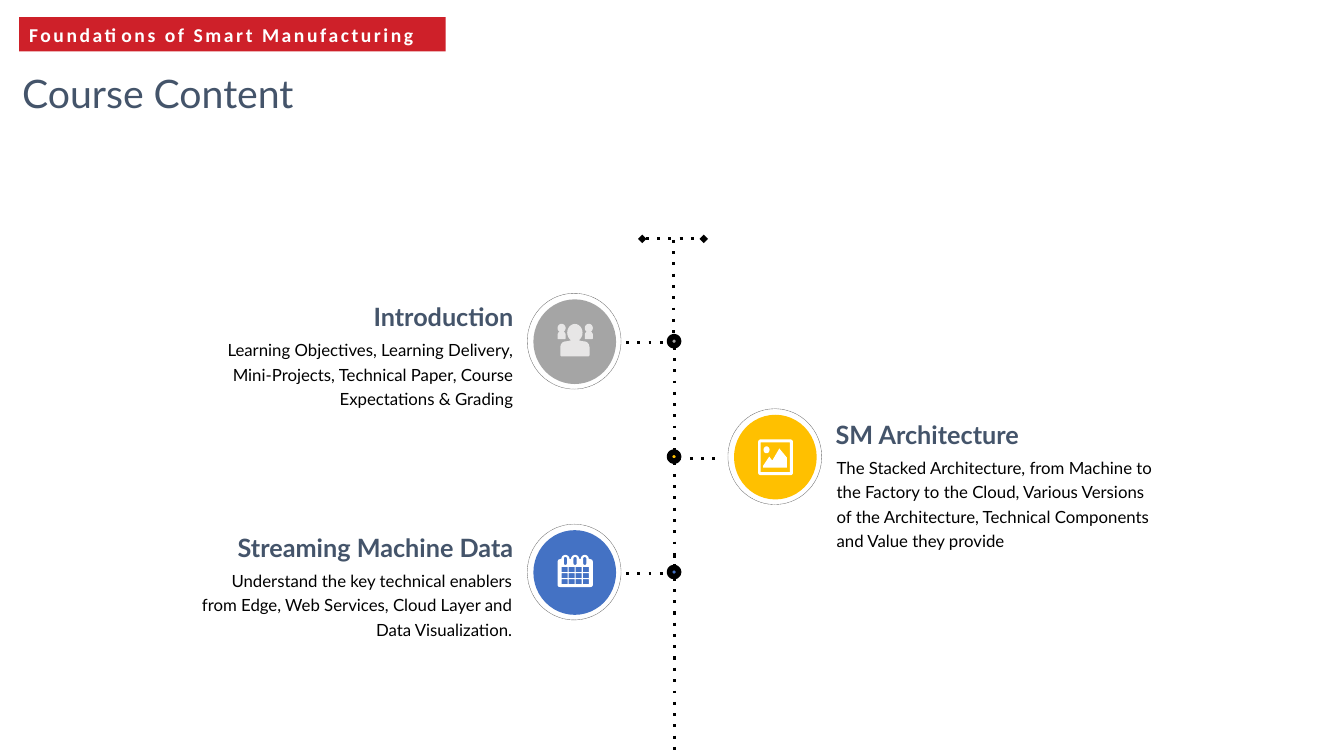
from dataclasses import dataclass
from math import cos, radians, sin

from lxml.etree import SubElement
from pptx import Presentation
from pptx.dml.color import RGBColor
from pptx.enum.shapes import MSO_CONNECTOR as Connector, MSO_SHAPE as Shape
from pptx.enum.text import MSO_AUTO_SIZE as AutoSize, PP_ALIGN as Align
from pptx.oxml.ns import qn
from pptx.util import Inches, Pt

Point = tuple[float, float]
Contour = list[Point]

COLOURS = {
    "red": "CE2029", "white": "FFFFFF", "black": "000000", "slate": "44546A",
    "grey": "A5A5A5", "gold": "FFC000", "blue": "4472C4", "pale": "E7E6E6",
    "ring": "666666",
}

# Grid: square cells of a tenth of an inch, so 133.3 columns by 75 rows
CELL = Inches(0.1)
TRUNK = 66.9
RING_SIZE = (9.3, 9.5)
DISC_SIZE = (8.2, 8.4)
FIRST_ROW, ROW_STEP = 29.1, 11.45


def cells(*counts: float) -> list[int]:
    return [round(count * CELL) for count in counts]


def colour(name: str) -> RGBColor:
    return RGBColor.from_string(COLOURS[name])


# Icon outlines, in hundredths of an inch
def arc(x: float, y: float, rx: float, ry: float, start: int = 0, end: int = 360) -> Contour:
    return [(x + rx * cos(radians(a)), y + ry * sin(radians(a)))
            for a in range(start, end + 1, 15)]


def rectangle(left: float, top: float, width: float, height: float) -> Contour:
    right, bottom = left + width, top + height
    return [(left, top), (right, top), (right, bottom), (left, bottom)]


def rounded(left: float, top: float, right: float, bottom: float, radius: float) -> Contour:
    corners = [(right - radius, bottom - radius), (left + radius, bottom - radius),
               (left + radius, top + radius), (right - radius, top + radius)]
    return [point for turn, (x, y) in enumerate(corners)
            for point in arc(x, y, radius, radius, 90 * turn, 90 * turn + 90)]


def person(x: float, y: float, rx: float, ry: float, shoulders: Contour) -> Contour:
    """A head joined to a body that mirrors the right-hand shoulder offsets."""
    right = [(x + dx, row) for dx, row in shoulders]
    left = [(x - dx, row) for dx, row in reversed(shoulders)]
    return arc(x, y, rx, ry, 120, 420) + right + left


def people_icon() -> list[Contour]:
    side = [(3, 8.2), (4, 10), (4, 14.5), (3.5, 15)]
    front = [(7, 17), (10, 17.3), (12, 18), (13.8, 20), (14.5, 23), (14.5, 31), (13.5, 32)]
    return [person(4, 4, 4, 4.2, side), person(17.2, 8.6, 7.6, 8.7, front),
            person(31, 4, 4, 4.2, side)]


def calendar_icon() -> list[Contour]:
    tabs = [7.8, 17.4, 27]
    edge = [point for x in tabs for point in arc(x, 4, 4, 4, 180, 360)]
    frame = edge + [(32, 4), (34.2, 4.8), (35, 6.5), (35, 30), (34.2, 31.5), (32, 32),
                    (3, 32), (0.8, 31.5), (0, 30), (0, 6.5), (0.8, 4.8), (3, 4)]
    slots = [rounded(x - 1.6, 2, x + 1.6, 10, 1.6) for x in tabs]
    days = [rectangle(4 + 7 * column, 12 + 6 * row, 6, 5)
            for row in range(3) for column in range(4)]
    return [frame, *slots, *days]


def landscape_icon() -> list[Contour]:
    hills = [(28.5, 28), (5, 28), (5, 26), (11, 17), (14, 21), (21, 9), (28.5, 18)]
    return [rounded(0, 0, 34.5, 35.5, 2.5), rectangle(2.5, 3, 29, 29.5),
            arc(8.3, 10.3, 3, 3.4), hills]


@dataclass
class Topic:
    title: str
    summary: str
    fill: str
    icon: list[Contour]
    icon_fill: str
    on_left: bool
    ring_left: float
    title_span: Point      # left and width, in columns
    summary_span: Point
    summary_rows: float
    text_drop: float = 0


TOPICS = [
    Topic("Introduction",
          "Learning Objectives, Learning Delivery, Mini-Projects, Technical Paper, "
          "Course Expectations & Grading",
          "grey", people_icon(), "pale", True, 52.3, (35.2, 16.7), (18.2, 33.7), 8.3),
    Topic("SM Architecture",
          "The Stacked Architecture, from Machine to the Factory to the Cloud, Various "
          "Versions of the Architecture, Technical Components and Value they provide",
          "gold", landscape_icon(), "white", False, 72.2, (81.9, 21.3), (82, 33.4), 10.7, 0.25),
    Topic("Streaming Machine Data",
          "Understand the key technical enablers from Edge, Web Services, Cloud Layer "
          "and Data Visualization.",
          "blue", calendar_icon(), "white", True, 52.3, (20.6, 31.3), (18.7, 33.1), 8.3),
]

deck = Presentation()
deck.slide_width, deck.slide_height = Inches(13.33), Inches(7.5)
page = deck.slides.add_slide(deck.slide_layouts[6])


def add_dash(line, dash: str) -> None:
    SubElement(line._get_or_add_ln(), qn("a:prstDash")).set("val", dash)


def add_shape(kind: Shape, left: float, top: float, width: float, height: float,
              fill: str = "", line: str = "", points: float = 0):
    shape = page.shapes.add_shape(kind, *cells(left, top, width, height))
    shape.shadow.inherit = False
    if fill:
        shape.fill.solid()
        shape.fill.fore_color.rgb = colour(fill)
    else:
        shape.fill.background()
    if line:
        shape.line.color.rgb = colour(line)
        shape.line.width = Pt(points)
    else:
        shape.line.fill.background()
    return shape


def add_dotted(x1: float, y1: float, x2: float, y2: float, diamonds: bool = False) -> None:
    connector = page.shapes.add_connector(Connector.STRAIGHT, *cells(x1, y1, x2, y2))
    connector.line.color.rgb = colour("black")
    connector.line.width = Pt(2)
    add_dash(connector.line, "dot")
    for end in ("a:headEnd", "a:tailEnd") if diamonds else ():
        SubElement(connector.line._get_or_add_ln(), qn(end)).set("type", "diamond")
    SubElement(connector._element.spPr, qn("a:effectLst"))


def write(box, text: str, size: float, ink: str, face: str = "Lato", bold: bool = False,
          align: Align = Align.LEFT, spacing: float = 1, wrap: bool = True):
    box.text_frame.word_wrap = wrap
    box.text_frame.auto_size = AutoSize.SHAPE_TO_FIT_TEXT
    para = box.text_frame.paragraphs[0]
    para.alignment, para.line_spacing = align, spacing
    span = para.add_run()
    span.text = text
    para.font.size, para.font.name, para.font.bold = Pt(size), face, bold
    para.font.color.rgb = colour(ink)
    return span


def add_text(left: float, top: float, width: float, height: float):
    return page.shapes.add_textbox(*cells(left, top, width, height))


def add_icon(contours: list[Contour], left: float, top: float, fill: str) -> None:
    scaled = [[(x * CELL / 10, y * CELL / 10) for x, y in contour] for contour in contours]
    builder = page.shapes.build_freeform(*scaled[0][0], scale=1.0)
    for number, contour in enumerate(scaled):
        if number:
            builder.move_to(*contour[0])
        builder.add_line_segments(contour[1:], close=True)
    icon = builder.convert_to_shape(*cells(left, top))
    icon.shadow.inherit = False
    icon.fill.solid()
    icon.fill.fore_color.rgb = colour(fill)
    icon.line.fill.background()


def add_topic(topic: Topic, top: float) -> None:
    # Ringed disc with its icon
    add_shape(Shape.OVAL, topic.ring_left + 0.6, top + 0.6, *DISC_SIZE, fill=topic.fill)
    ring = add_shape(Shape.OVAL, topic.ring_left, top, *RING_SIZE, line="ring", points=0.25)
    add_dash(ring.line, "sysDash")
    add_icon(topic.icon, topic.ring_left + 3, top + 3.05, topic.icon_fill)
    # Branch and node on the trunk
    branch = TRUNK - 4.8 if topic.on_left else TRUNK + 0.4
    add_dotted(branch, top + 4.9, branch + 4.3, top + 4.9)
    add_shape(Shape.OVAL, TRUNK - 0.5, top + 4.3, 0.9, 0.9, topic.fill, "black", 4)
    # Heading and summary
    align = Align.RIGHT if topic.on_left else Align.LEFT
    text_top = top + topic.text_drop
    left, width = topic.title_span
    write(add_text(left, text_top + 0.3, width, 4), topic.title, 18, "slate",
          bold=True, align=align, wrap=False)
    left, width = topic.summary_span
    write(add_text(left, text_top + 3.75, width, topic.summary_rows), topic.summary, 12,
          "black", align=align, spacing=1.2)


# Banner and page title
banner = add_shape(Shape.RECTANGLE, 1.9, 1.7, 42.3, 3.4, fill="red")
label = write(banner, "Foundations of Smart Manufacturing", 14, "white", "Calibri", True)
label.font._element.set("spc", "180")
title = add_text(2.2, 7.4, 74, 4.9)
frame = title.text_frame
frame.margin_left = frame.margin_top = frame.margin_right = frame.margin_bottom = 0
write(title, "Course Content", 28, "slate", spacing=0.9)

# Trunk with its cap
add_dotted(63.7, 23.7, 69.8, 23.7, diamonds=True)
add_dotted(TRUNK - 0.1, 23.8, TRUNK - 0.1, 34.1)
for start, end in [(34.4, 44.7), (45.9, 56.1), (57.3, 67.5), (55.1, 75)]:
    add_dotted(TRUNK, start, TRUNK, end)

# Topics
for index, entry in enumerate(TOPICS):
    add_topic(entry, FIRST_ROW + index * ROW_STEP)

deck.save("out.pptx")
